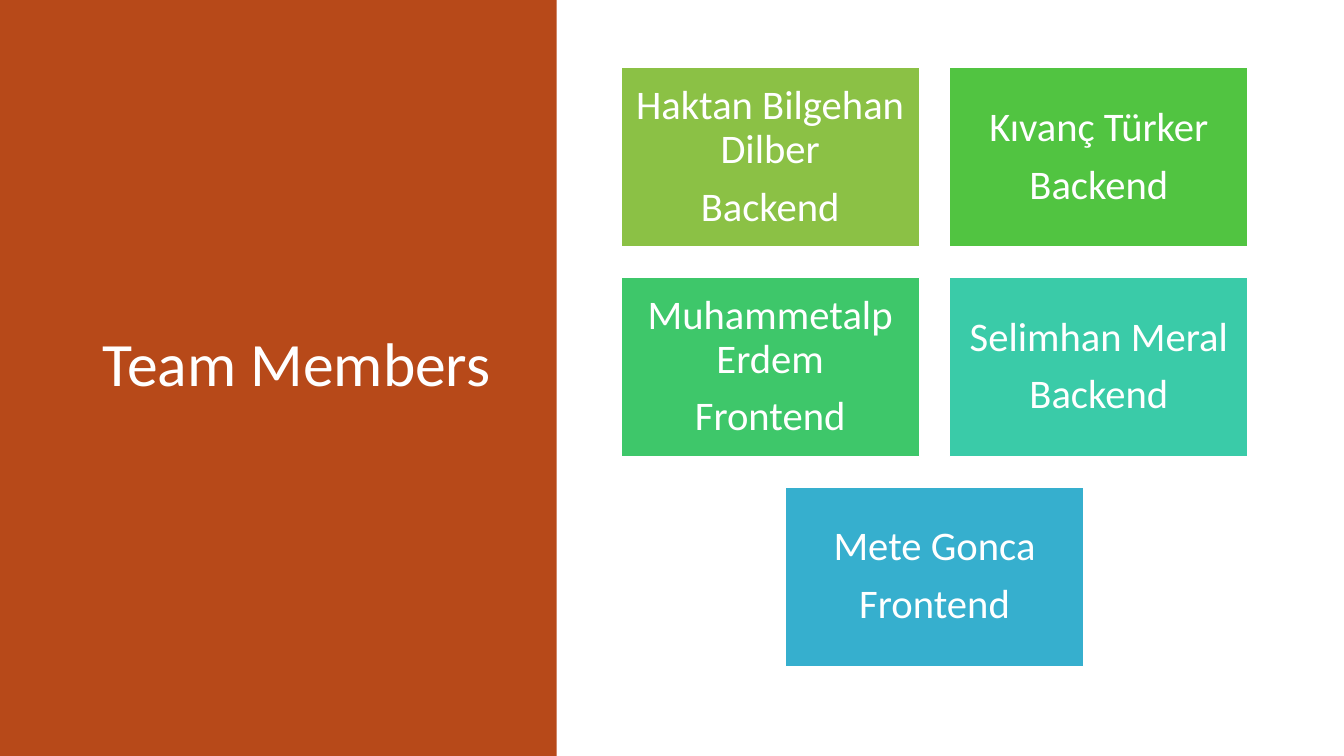
"""Build the team members slide with a title panel and a grid of cards."""
from dataclasses import dataclass

from pptx import Presentation
from pptx.dml.color import RGBColor
from pptx.enum.shapes import MSO_SHAPE
from pptx.enum.text import MSO_ANCHOR, PP_ALIGN
from pptx.util import Inches, Pt

RECT = MSO_SHAPE.RECTANGLE
MIDDLE = MSO_ANCHOR.MIDDLE
LEFT, CENTER = PP_ALIGN.LEFT, PP_ALIGN.CENTER


@dataclass(frozen=True)
class Theme:
    """Hold the colours, font and type sizes."""
    font: str = "Calibri"
    white: str = "FFFFFF"
    panel: str = "B74919"
    cards: tuple = ("8BC145", "51C441", "3EC76A", "3ACBA8", "36AFCE")
    title: int = 44
    body: int = 29
    gap: int = 10
    pitch: float = 0.9


class Deck:
    """Draw styled elements on the current slide."""

    def __init__(self, slide, theme):
        """Keep the slide and the theme."""
        self.slide = slide
        self.theme = theme

    def label(self, frame, lines, size, align, after=0):
        """Fill a text frame with one paragraph per line."""
        frame.word_wrap = True
        frame.vertical_anchor = MIDDLE
        for index, line in enumerate(lines):
            para = frame.add_paragraph() if index else frame.paragraphs[0]
            para.text = line
            para.alignment = align
            para.line_spacing = self.theme.pitch
            para.space_after = Pt(after)
            para.font.name = self.theme.font
            para.font.size = Pt(size)
            para.font.color.rgb = RGBColor.from_string(self.theme.white)

    def panel(self, box, color):
        """Add a plain filled rectangle."""
        shape = self.slide.shapes.add_shape(RECT, *map(Inches, box))
        shape.shadow.inherit = False
        shape.fill.solid()
        shape.fill.fore_color.rgb = RGBColor.from_string(color)
        shape.line.fill.background()
        return shape

    def title(self, box, text):
        """Add the slide title."""
        frame = self.slide.shapes.add_textbox(*map(Inches, box)).text_frame
        self.label(frame, [text], self.theme.title, LEFT)

    def card(self, box, color, lines):
        """Add an outlined rectangle with centred text."""
        shape = self.panel(box, color)
        shape.line.color.rgb = RGBColor.from_string(self.theme.white)
        shape.line.width = Pt(1)
        frame = shape.text_frame
        frame.margin_left = frame.margin_right = Inches(0.12)
        frame.margin_top = frame.margin_bottom = Inches(0.12)
        self.label(frame, lines, self.theme.body, CENTER, self.theme.gap)


TEAM = [
    ("Haktan Bilgehan Dilber", "Backend"),
    ("Kıvanç Türker", "Backend"),
    ("Muhammetalp Erdem", "Frontend"),
    ("Selimhan Meral", "Backend"),
    ("Mete Gonca", "Frontend"),
]
COLS = 2
WIDTH, HEIGHT, GAP = 2.96, 1.78, 0.3
MID, TOP = 9.27, 0.67

show = Presentation()
show.slide_width, show.slide_height = Inches(13.33), Inches(7.5)
theme = Theme()
deck = Deck(show.slides.add_slide(show.slide_layouts[6]), theme)

deck.panel((0, 0, 5.52, 7.5), theme.panel)
deck.title((0.92, 0.68, 4.12, 5.92), "Team Members")

for index, (member, color) in enumerate(zip(TEAM, theme.cards)):
    row, col = divmod(index, COLS)
    count = min(COLS, len(TEAM) - row * COLS)
    start = MID - (count * (WIDTH + GAP) - GAP) / 2
    left = start + col * (WIDTH + GAP)
    top = TOP + row * (HEIGHT + GAP)
    deck.card((left, top, WIDTH, HEIGHT), color, member)

show.save("out.pptx")
